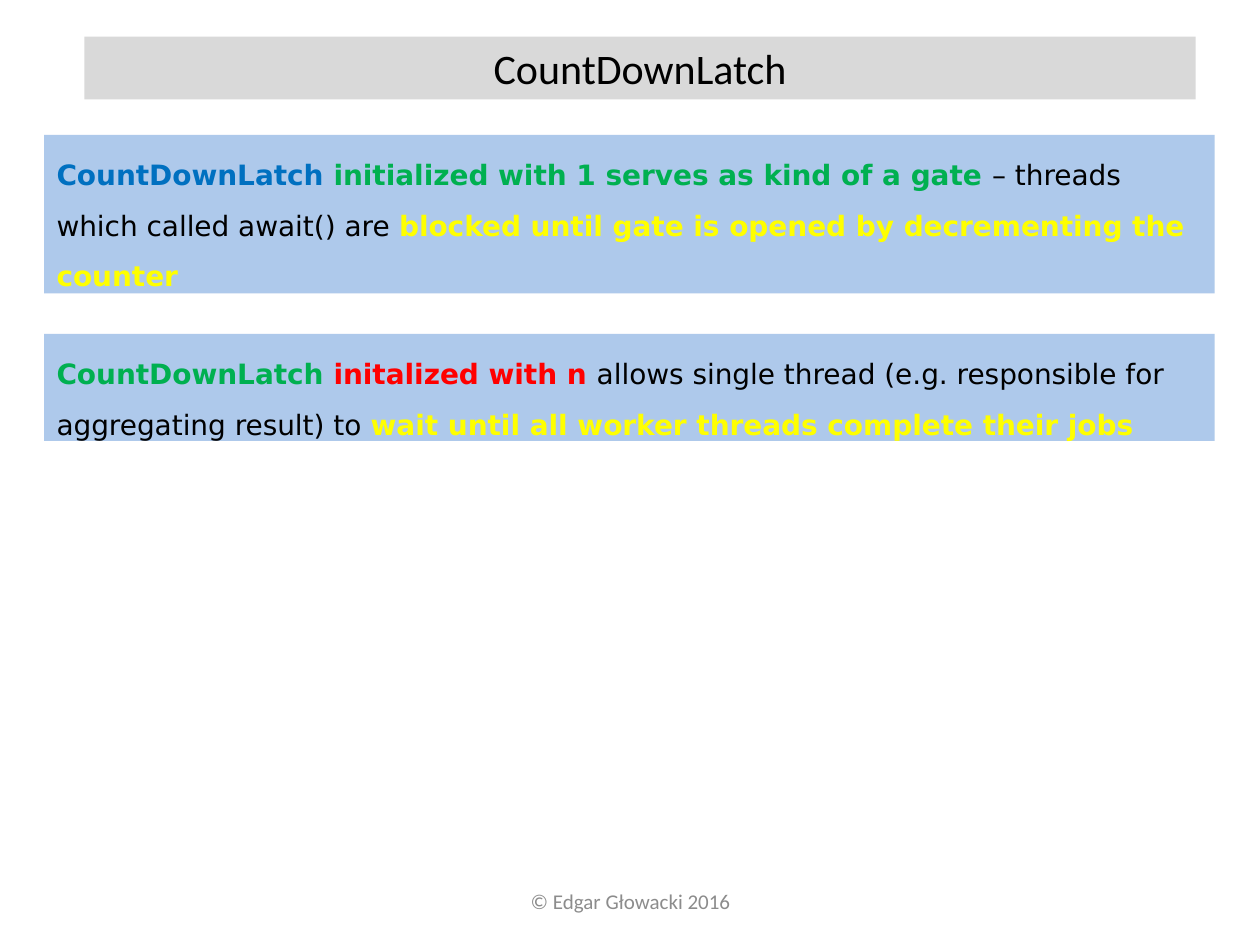
from lxml import etree
from pptx import Presentation
from pptx.dml.color import RGBColor
from pptx.enum.shapes import MSO_SHAPE
from pptx.enum.text import MSO_ANCHOR, MSO_AUTO_SIZE, PP_ALIGN
from pptx.oxml.ns import qn
from pptx.util import Emu, Pt

PX = 9144  # 100 px to the inch
RECTANGLE = MSO_SHAPE.RECTANGLE
LEFT, CENTER = PP_ALIGN.LEFT, PP_ALIGN.CENTER
TOP, MIDDLE = MSO_ANCHOR.TOP, MSO_ANCHOR.MIDDLE
GROW, FIXED = MSO_AUTO_SIZE.SHAPE_TO_FIT_TEXT, MSO_AUTO_SIZE.NONE

BLACK, BLUE, GREEN, RED, YELLOW = "000000", "0070C0", "00B050", "FF0000", "FFFF00"
TITLE_FILL, NOTE_FILL, FOOTER_GREY = "D9D9D9", "8EB4E3", "8C8C8C"
NOTE_OPACITY = 71

TITLE = "CountDownLatch"
TITLE_BOX = (67, 29, 882, 50)
FOOTER = "© Edgar Głowacki 2016"
FOOTER_BOX = (342, 695, 317, 40)

NOTE_LEFT, NOTE_WIDTH = 35, 929
# top, height, runs of (text, colour, bold)
NOTES = [
    (107, 126, [
        ("CountDownLatch ", BLUE, True),
        ("initialized with 1 serves as kind of a gate ", GREEN, True),
        ("– threads which called await() are ", BLACK, False),
        ("blocked until gate is opened by decrementing the counter", YELLOW, True),
    ]),
    (265, 85, [
        ("CountDownLatch ", GREEN, True),
        ("initalized with n ", RED, True),
        ("allows single thread (e.g. responsible for aggregating result) to ", BLACK, False),
        ("wait until all worker threads complete their jobs", YELLOW, True),
    ]),
]


def px(*lengths):
    return [Emu(length * PX) for length in lengths]


def rgb(color):
    return RGBColor.from_string(color)


def add_panel(slide, box, fill, opacity=100):
    panel = slide.shapes.add_shape(RECTANGLE, *px(*box))
    panel.shadow.inherit = False
    panel.line.fill.background()
    panel.fill.solid()
    panel.fill.fore_color.rgb = rgb(fill)
    if opacity < 100:
        color = panel.fill._xPr.find(qn("a:solidFill"))[0]
        etree.SubElement(color, qn("a:alpha"), val=str(opacity * 1000))
    return panel


def write_text(holder, runs, font, size, align=LEFT, anchor=TOP, fit=GROW, spacing=1.0):
    """Write one paragraph of (text, colour, bold) runs into a shape."""
    frame = holder.text_frame
    frame.word_wrap = True
    frame.auto_size = fit
    frame.vertical_anchor = anchor
    paragraph = frame.paragraphs[0]
    paragraph.alignment = align
    paragraph.line_spacing = spacing
    for text, color, bold in runs:
        run = paragraph.add_run()
        run.text = text
        run.font.name = font
        run.font.size = Pt(size)
        run.font.bold = bold
        run.font.color.rgb = rgb(color)


def main():
    deck = Presentation()
    deck.slide_width, deck.slide_height = px(1000, 750)
    slide = deck.slides.add_slide(deck.slide_layouts[6])

    footer = slide.shapes.add_textbox(*px(*FOOTER_BOX))
    write_text(footer, [(FOOTER, FOOTER_GREY, False)], "Calibri", 12,
               align=CENTER, anchor=MIDDLE, fit=FIXED)

    title = add_panel(slide, TITLE_BOX, TITLE_FILL)
    write_text(title, [(TITLE, BLACK, False)], "Calibri", 24, align=CENTER)

    for top, height, runs in NOTES:
        note = add_panel(slide, (NOTE_LEFT, top, NOTE_WIDTH, height), NOTE_FILL, NOTE_OPACITY)
        write_text(note, runs, "DejaVu Sans", 16, spacing=1.5)

    deck.save("out.pptx")


if __name__ == "__main__":
    main()
